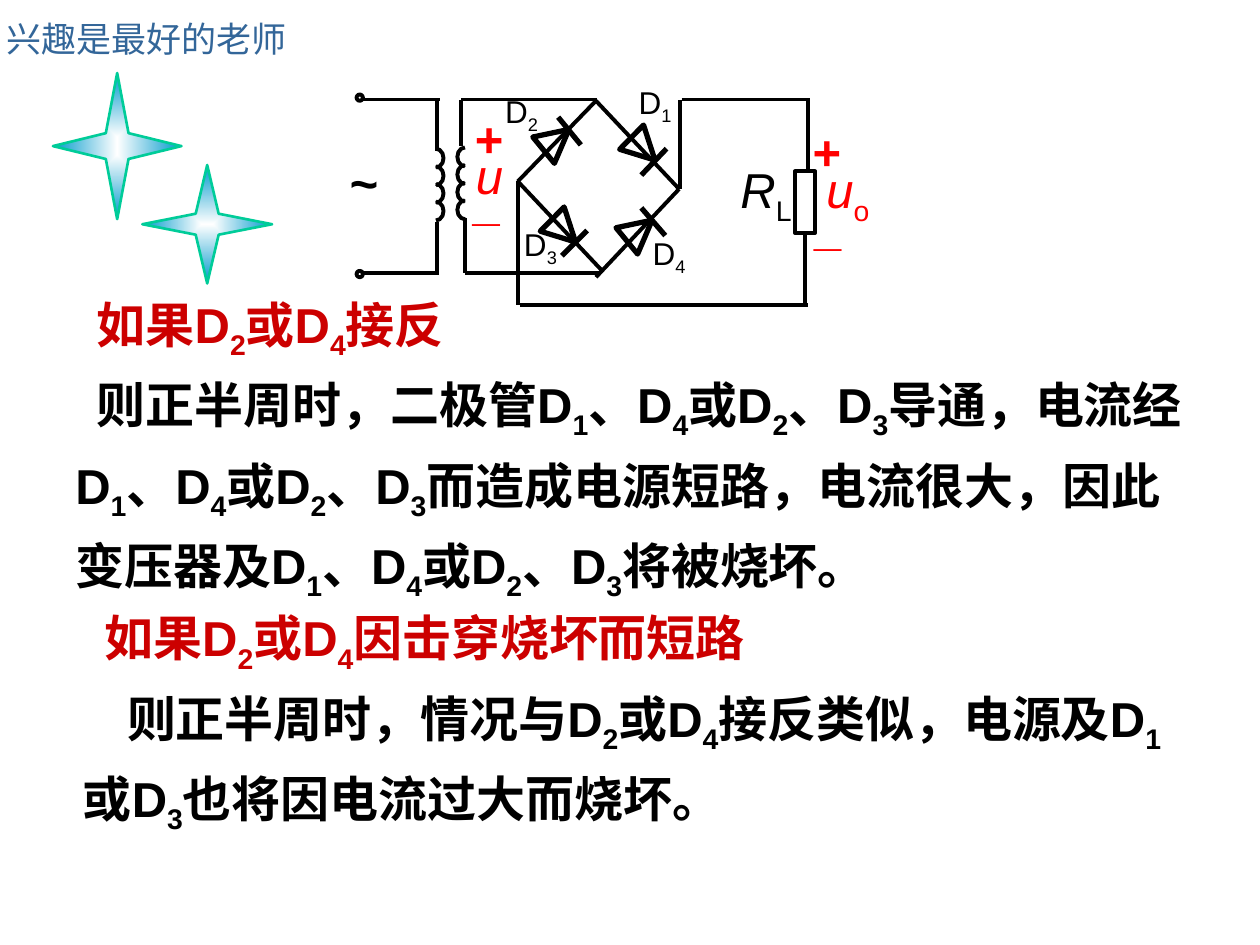
from typing import NamedTuple

from lxml import etree
from pptx import Presentation
from pptx import util as u
from pptx.dml.color import RGBColor
from pptx.enum import shapes, text
from pptx.oxml import parse_xml
from pptx.oxml.ns import nsdecls, qn

PX = 9144  # 100 px to the inch
LATIN, CHINESE = "Arial", "Noto Sans CJK SC"
BLACK, RED, DARK_RED = "000000", "FF0000", "CC0000"
SHAPE = shapes.MSO_SHAPE


class Box(NamedTuple):
    left: int
    top: int
    width: int
    height: int


class Wire(NamedTuple):
    x1: int
    y1: int
    x2: int
    y2: int


class Diode(NamedTuple):
    triangle: Box
    rotation: float
    bar: Wire


class Coil(NamedTuple):
    left: int
    top: int
    start: int
    end: int


class Label(NamedTuple):
    words: str
    box: Box
    size: int = 28
    color: str = BLACK
    bold: bool = False
    italic: bool = False
    wrap: bool = True


class Passage(NamedTuple):
    words: str
    color: str
    indent: int


STARS = [Box(113, 131, 103, 94), Box(42, 58, 102, 116)]
DIODES = [
    Diode(Box(434, 170, 27, 26), 134.5, Wire(466, 183, 446, 203)),
    Diode(Box(497, 105, 27, 26), 134.5, Wire(529, 118, 509, 139)),
    Diode(Box(494, 170, 27, 26), 50.7, Wire(509, 165, 528, 187)),
    Diode(Box(428, 98, 27, 26), 50.7, Wire(443, 93, 461, 115)),
]
COILS = [Coil(340, 118, 270, 90), Coil(363, 117, 90, 270)]
TERMINALS = [Box(283, 75, 5, 5), Box(283, 215, 5, 5)]
RESISTOR = Box(631, 136, 16, 49)
WIRES = [
    # primary winding
    Wire(288, 79, 349, 79), Wire(347, 78, 347, 120),
    Wire(347, 176, 347, 218), Wire(288, 217, 346, 217),
    # secondary winding
    Wire(366, 116, 366, 79), Wire(366, 79, 474, 79),
    Wire(369, 173, 369, 217), Wire(369, 217, 477, 217),
    # bridge
    Wire(473, 80, 411, 144), Wire(473, 80, 539, 150),
    Wire(411, 144, 478, 215), Wire(539, 150, 473, 220),
    # load
    Wire(411, 144, 411, 242), Wire(413, 242, 641, 242),
    Wire(540, 79, 540, 150), Wire(541, 79, 613, 79),
    Wire(610, 79, 640, 79), Wire(641, 78, 641, 136),
]
LABELS = [
    Label("u|o|", Box(641, 122, 64, 63), color=RED, italic=True),
    Label("+", Box(635, 91, 42, 57), color=RED, bold=True, wrap=False),
    Label("_", Box(638, 151, 41, 57), color=RED, bold=True, italic=True, wrap=False),
    Label("~", Box(267, 116, 42, 57), bold=True, italic=True, wrap=False),
    Label("u", Box(356, 110, 65, 57), color=RED, italic=True),
    Label("+", Box(367, 81, 42, 57), color=RED, bold=True, wrap=False),
    Label("_", Box(367, 131, 41, 57), color=RED, bold=True, italic=True, wrap=False),
    Label("R|L|", Box(576, 122, 64, 63), italic=True),
    Label("D|2|", Box(385, 68, 58, 44), 18),
    Label("D|4|", Box(508, 181, 46, 44), 18, wrap=False),
    Label("D|1|", Box(497, 61, 46, 44), 18, wrap=False),
    Label("D|3|", Box(406, 174, 46, 44), 18, wrap=False),
]
REVERSED_CASE = [
    Passage("如果D|2|或D|4|接反", DARK_RED, 17),
    Passage("则正半周时，二极管D|1|、D|4|或D|2|、D|3|导通，电流经D|1|、D|4|或D|2|、D|3|"
            "而造成电源短路，电流很大，因此变压器及D|1|、D|4|或D|2|、D|3|将被烧坏。", BLACK, 17),
]
SHORTED_CASE = [
    Passage("如果D|2|或D|4|因击穿烧坏而短路", DARK_RED, 17),
    Passage("则正半周时，情况与D|2|或D|4|接反类似，电源及D|1|或D|3|也将因电流过大而烧坏。",
            BLACK, 35),
]


def rgb(color: str) -> RGBColor:
    return RGBColor.from_string(color)


def emu(lengths) -> list[int]:
    return [length * PX for length in lengths]


def add_outline(slide, kind, box: Box, width: float = 2.25, color: str = BLACK):
    shape = slide.shapes.add_shape(kind, *emu(box))
    shape.shadow.inherit = False
    shape.fill.background()
    shape.line.color.rgb = rgb(color)
    shape.line.width = u.Pt(width)
    return shape


def add_wire(slide, wire: Wire, width: float = 2.25):
    connector = slide.shapes.add_connector(shapes.MSO_CONNECTOR.STRAIGHT, *emu(wire))
    connector.line.color.rgb = rgb(BLACK)
    connector.line.width = u.Pt(width)
    etree.SubElement(connector._element.spPr, qn("a:effectLst"))
    return connector


def add_star(slide, box: Box) -> None:
    star = add_outline(slide, SHAPE.STAR_4_POINT, box, 1.5, "00CC99")
    star.adjustments[0] = 0.125
    gradient = parse_xml(
        f'<a:gradFill {nsdecls("a")} rotWithShape="1"><a:gsLst>'
        '<a:gs pos="0"><a:srgbClr val="FFFFFF"/></a:gs>'
        '<a:gs pos="100000"><a:srgbClr val="0099CC"/></a:gs></a:gsLst>'
        '<a:path path="rect"><a:fillToRect l="50000" t="50000" r="50000" b="50000"/>'
        '</a:path></a:gradFill>')
    properties = star._element.spPr
    properties.replace(properties.find(qn("a:noFill")), gradient)


def add_coil(slide, coil: Coil, turns: int = 4, pitch: int = 14) -> None:
    for turn in range(turns):
        arc = add_outline(slide, SHAPE.ARC, Box(coil.left, coil.top + turn * pitch, 12, 15))
        # angles are stored in 60000ths of a degree, adjustments in 100000ths
        arc.adjustments[0] = coil.start * 0.6
        arc.adjustments[1] = coil.end * 0.6


def add_diode(slide, diode: Diode) -> None:
    add_outline(slide, SHAPE.FLOWCHART_EXTRACT, diode.triangle, 3).rotation = diode.rotation
    add_wire(slide, diode.bar, 3)


def add_text_frame(slide, box: Box, wrap: bool, anchor):
    frame = slide.shapes.add_textbox(*emu(box)).text_frame
    frame.word_wrap = wrap
    frame.vertical_anchor = anchor
    return frame


def write(paragraph, words: str, size: int, color: str, bold=False, italic=False) -> None:
    """Add runs to the paragraph; the parts between bars are subscripts."""
    for index, part in enumerate(words.split("|")):
        if not part:
            continue
        subscript = index % 2 == 1
        run = paragraph.add_run()
        run.text = part
        run.font.size = u.Pt(size)
        run.font.bold = bold
        run.font.italic = italic and not subscript
        run.font.color.rgb = rgb(color)
        run.font.name = LATIN
        properties = run.font._element
        etree.SubElement(properties, qn("a:ea")).set("typeface", CHINESE)
        if subscript:
            properties.set("baseline", "-25000")


def add_label(slide, label: Label) -> None:
    frame = add_text_frame(slide, label.box, label.wrap, text.MSO_ANCHOR.MIDDLE)
    paragraph = frame.paragraphs[0]
    paragraph.alignment = text.PP_ALIGN.CENTER
    write(paragraph, label.words, label.size, label.color, label.bold, label.italic)


def add_passages(slide, box: Box, passages: list[Passage], anchor) -> None:
    frame = add_text_frame(slide, box, True, anchor)
    for index, passage in enumerate(passages):
        paragraph = frame.add_paragraph() if index else frame.paragraphs[0]
        paragraph.line_spacing = 1.2
        paragraph._p.get_or_add_pPr().set("indent", str(passage.indent * PX))
        write(paragraph, passage.words, 28, passage.color, bold=True)


def main() -> None:
    presentation = Presentation()
    presentation.slide_width, presentation.slide_height = emu((1000, 750))
    slide = presentation.slides.add_slide(presentation.slide_layouts[6])

    motto = add_text_frame(slide, Box(-5, 9, 243, 32), False, text.MSO_ANCHOR.TOP)
    write(motto.paragraphs[0], "兴趣是最好的老师", 20, "336699")
    add_passages(slide, Box(50, 218, 902, 265), REVERSED_CASE, text.MSO_ANCHOR.MIDDLE)
    for star in STARS:
        add_star(slide, star)
    add_passages(slide, Box(56, 467, 911, 201), SHORTED_CASE, text.MSO_ANCHOR.TOP)

    for coil in COILS:
        add_coil(slide, coil)
    for diode in DIODES:
        add_diode(slide, diode)
    for terminal in TERMINALS:
        add_outline(slide, SHAPE.FLOWCHART_CONNECTOR, terminal)
    for wire in WIRES:
        add_wire(slide, wire)
    resistor = add_outline(slide, SHAPE.RECTANGLE, RESISTOR)
    add_wire(slide, Wire(639, 185, 639, 242)).begin_connect(resistor, 2)
    for label in LABELS:
        add_label(slide, label)

    presentation.save("out.pptx")


if __name__ == "__main__":
    main()
